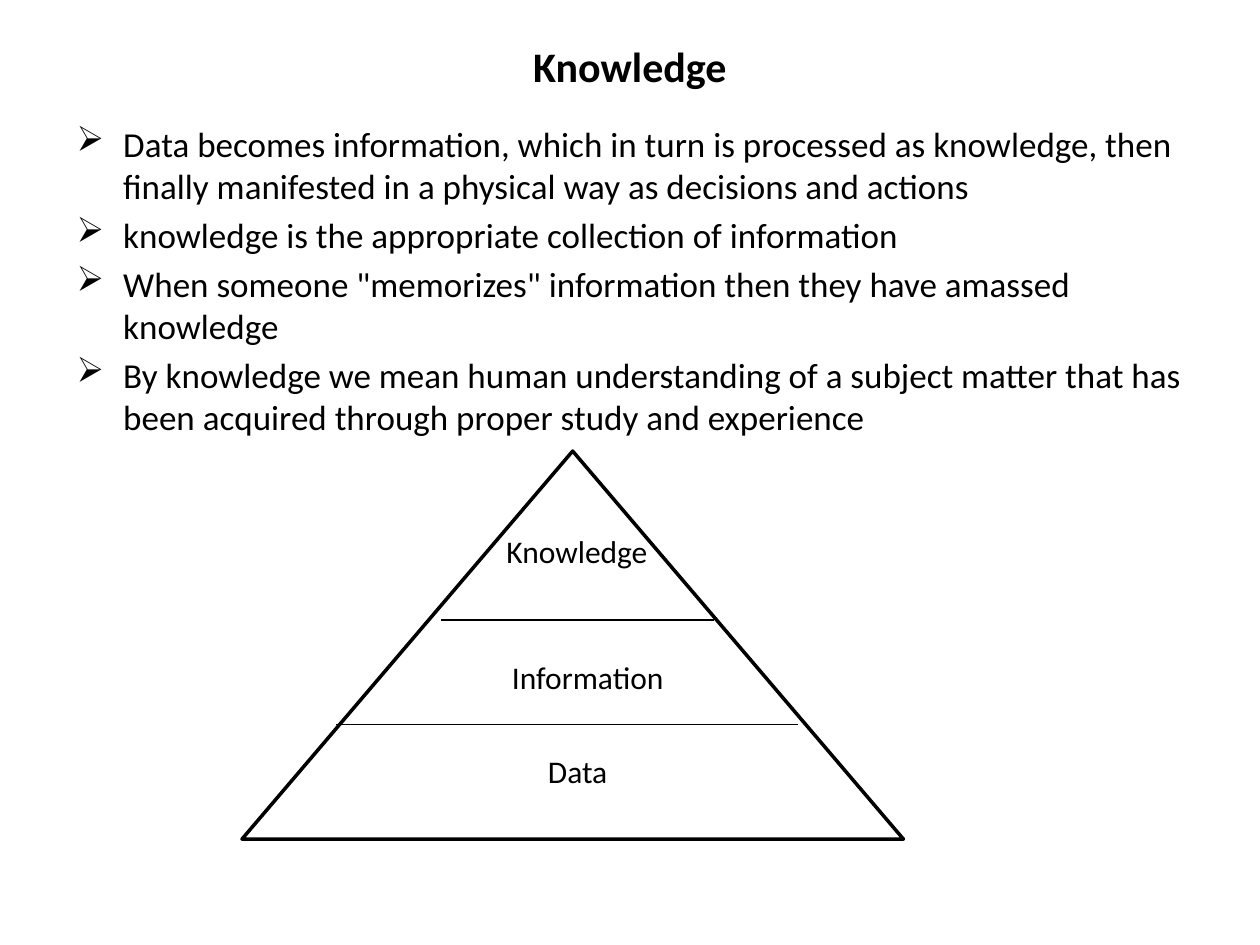
import dataclasses

import lxml.etree
import pptx
import pptx.dml.color
import pptx.enum.shapes
import pptx.enum.text
import pptx.oxml.ns
import pptx.util

Inches = pptx.util.Inches
Pt = pptx.util.Pt
Align = pptx.enum.text.PP_ALIGN
Anchor = pptx.enum.text.MSO_ANCHOR
qn = pptx.oxml.ns.qn


@dataclasses.dataclass(frozen=True)
class Theme:
    font: str = "Calibri"
    ink: str = "000000"
    title_size: float = 24
    body_size: float = 20
    label_size: float = 18
    outline: float = 2
    divider: float = 0.75
    bullet: str = "➢"


class SlideBuilder:
    def __init__(self, slide, theme):
        self.slide = slide
        self.theme = theme
        self.ink = pptx.dml.color.RGBColor.from_string(theme.ink)

    def text(self, area, lines, size, bold=False, align=Align.CENTER, anchor=Anchor.TOP):
        box = self.slide.shapes.add_textbox(*map(Inches, area))
        frame = box.text_frame
        frame.word_wrap = True
        frame.vertical_anchor = anchor
        frame.text = "\n".join(lines)
        for para in frame.paragraphs:
            para.alignment = align
            for span in para.runs:
                span.font.name = self.theme.font
                span.font.size = Pt(size)
                span.font.bold = bold
                span.font.color.rgb = self.ink
        return box

    def bullets(self, area, lines):
        box = self.text(area, lines, self.theme.body_size, align=Align.LEFT)
        for para in box.text_frame.paragraphs:
            para.space_before = Pt(4)
            properties = para._p.get_or_add_pPr()
            properties.set("marL", str(Inches(0.38)))
            properties.set("indent", str(Inches(-0.37)))
            mark = lxml.etree.SubElement(properties, qn("a:buChar"))
            mark.set("char", self.theme.bullet)

    def triangle(self, area):
        kind = pptx.enum.shapes.MSO_SHAPE.ISOSCELES_TRIANGLE
        shape = self.slide.shapes.add_shape(kind, *map(Inches, area))
        shape.shadow.inherit = False
        shape.fill.background()
        shape.line.color.rgb = self.ink
        shape.line.width = Pt(self.theme.outline)

    def divider(self, left, right, y):
        kind = pptx.enum.shapes.MSO_CONNECTOR.STRAIGHT
        line = self.slide.shapes.add_connector(kind, *map(Inches, (left, y, right, y)))
        line.line.color.rgb = self.ink
        line.line.width = Pt(self.theme.divider)
        lxml.etree.SubElement(line._element.spPr, qn("a:effectLst"))


def main():
    deck = pptx.Presentation()
    deck.slide_width = Inches(10)
    deck.slide_height = Inches(7.5)
    theme = Theme()
    page = SlideBuilder(deck.slides.add_slide(deck.slide_layouts[6]), theme)

    page.text((0.5, 0.3, 9, 0.45), ["Knowledge"], theme.title_size,
              bold=True, anchor=Anchor.MIDDLE)
    page.bullets((0.5, 0.92, 9, 5.78), [
        "Data becomes information, which in turn is processed as knowledge, "
        "then finally manifested in a physical way as decisions and actions",
        "knowledge is the appropriate collection of information",
        'When someone "memorizes" information then they have amassed knowledge',
        "By knowledge we mean human understanding of a subject matter that has "
        "been acquired through proper study and experience",
    ])

    page.triangle((1.92, 3.58, 5.25, 3.08))
    for left, right, y in ((2.67, 6.33, 5.75), (3.5, 5.67, 4.92)):
        page.divider(left, right, y)
    for label, area in (
        ("Data", (3.67, 5.92, 1.83, 0.4)),
        ("Information", (3.75, 5.17, 1.83, 0.4)),
        ("Knowledge", (3.83, 4.17, 1.5, 0.7)),
    ):
        page.text(area, [label], theme.label_size)

    deck.save("out.pptx")


if __name__ == "__main__":
    main()
